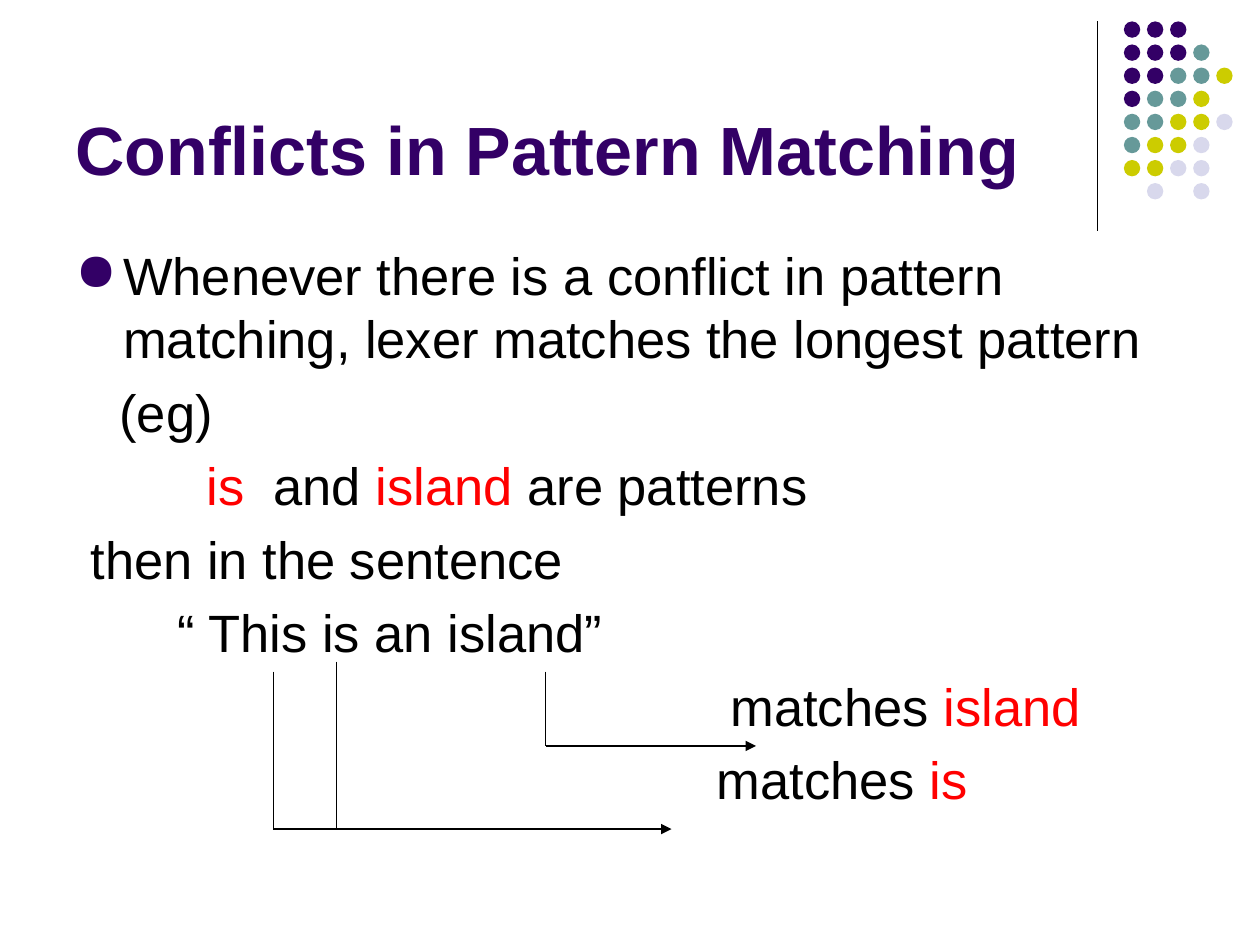
import pptx
import pptx.util
import pptx.dml.color
import pptx.enum.shapes
import pptx.enum.text
from pptx.util import Inches, Pt
from lxml import etree

A = "{http://schemas.openxmlformats.org/drawingml/2006/main}"
COLORS = {"purple": "330066", "teal": "669999", "olive": "CCCC00",
          "lavender": "D8D8EC", "black": "000000", "red": "FF0000"}


def rgb(name):
    return pptx.dml.color.RGBColor.from_string(COLORS[name])


def add_line(start, end, arrow=False):
    line = slide.shapes.add_connector(
        pptx.enum.shapes.MSO_CONNECTOR.STRAIGHT,
        *(Inches(value) for value in start + end))
    line.line.color.rgb = rgb("black")
    line.line.width = Pt(0.75)
    if arrow:
        etree.SubElement(line.line._get_or_add_ln(), A + "tailEnd", type="triangle")
    etree.SubElement(line._element.spPr, A + "effectLst")


deck = pptx.Presentation()
deck.slide_width, deck.slide_height = Inches(10), Inches(7.5)
slide = deck.slides.add_slide(deck.slide_layouts[5])

# Corner decoration: a rule and a grid of dots
add_line((8.71, 0.17), (8.71, 1.83))
dot_colors = {"p": "purple", "t": "teal", "o": "olive", "l": "lavender"}
dot_rows = ["ppp", "pppt", "pptto", "ptto", "ttool", "tool", "ooll", " l l"]
dot_pitch = 0.55 / 3
for row, codes in enumerate(dot_rows):
    for column, code in enumerate(codes):
        if code == " ":
            continue
        dot = slide.shapes.add_shape(
            pptx.enum.shapes.MSO_SHAPE.OVAL,
            Inches(8.92 + column * dot_pitch), Inches(0.17 + row * dot_pitch),
            Inches(0.13), Inches(0.13))
        dot.shadow.inherit = False
        dot.fill.solid()
        dot.fill.fore_color.rgb = rgb(dot_colors[code])
        dot.line.fill.background()

title = slide.shapes.title
title.left, title.top = Inches(0.5), Inches(0.13)
title.width, title.height = Inches(8.25), Inches(1.42)
title.text_frame.text = "Conflicts in Pattern Matching"
title.text_frame.vertical_anchor = pptx.enum.text.MSO_ANCHOR.BOTTOM
title.text_frame.auto_size = pptx.enum.text.MSO_AUTO_SIZE.NONE
heading = title.text_frame.paragraphs[0]
heading.alignment = pptx.enum.text.PP_ALIGN.LEFT
heading.font.name = "Arial"
heading.font.size = Pt(39)
heading.font.bold = True
heading.font.color.rgb = rgb("purple")

# Each line: left margin in inches, then its (text, color) parts
explanation = [
    (0.38, [("Whenever there is a conflict in pattern matching, "
             "lexer matches the longest pattern", "black")]),
    (0.35, [("(eg)", "black")]),
    (1.04, [("is ", "red"), (" and ", "black"), ("island", "red"),
            (" are patterns", "black")]),
    (0.12, [("then in the sentence", "black")]),
    (0.81, [("“ This is an island”", "black")]),
    (5.2, [("matches ", "black"), ("island", "red")]),
    (5.09, [("matches ", "black"), ("is", "red")]),
]
body = slide.shapes.add_textbox(Inches(0.5), Inches(1.88), Inches(9), Inches(5.62))
body.text_frame.word_wrap = True
for index, (margin, parts) in enumerate(explanation):
    if index == 0:
        paragraph = body.text_frame.paragraphs[0]
    else:
        paragraph = body.text_frame.add_paragraph()
        paragraph.space_before = Pt(6)
    paragraph.line_spacing = Pt(36)
    properties = paragraph._p.get_or_add_pPr()
    properties.set("marL", str(Inches(margin)))
    properties.set("indent", "0")
    if index == 0:
        properties.set("indent", str(-Inches(margin)))
        bullet_color = etree.SubElement(properties, A + "buClr")
        etree.SubElement(bullet_color, A + "srgbClr", val=COLORS["purple"])
        etree.SubElement(properties, A + "buChar", char="●")
    paragraph.font.name = "Arial"
    paragraph.font.size = Pt(30)
    for text, color in parts:
        run = paragraph.add_run()
        run.text = text
        run.font.color.rgb = rgb(color)

# Arrows from the words of the sentence to the pattern each one matches
add_line((2.17, 6.58), (5.33, 6.58), arrow=True)
add_line((4.33, 5.33), (4.33, 5.92))
add_line((4.33, 5.92), (6, 5.92), arrow=True)
add_line((2.17, 5.33), (2.17, 6.58))
add_line((2.67, 5.25), (2.67, 6.58))

deck.save("out.pptx")
